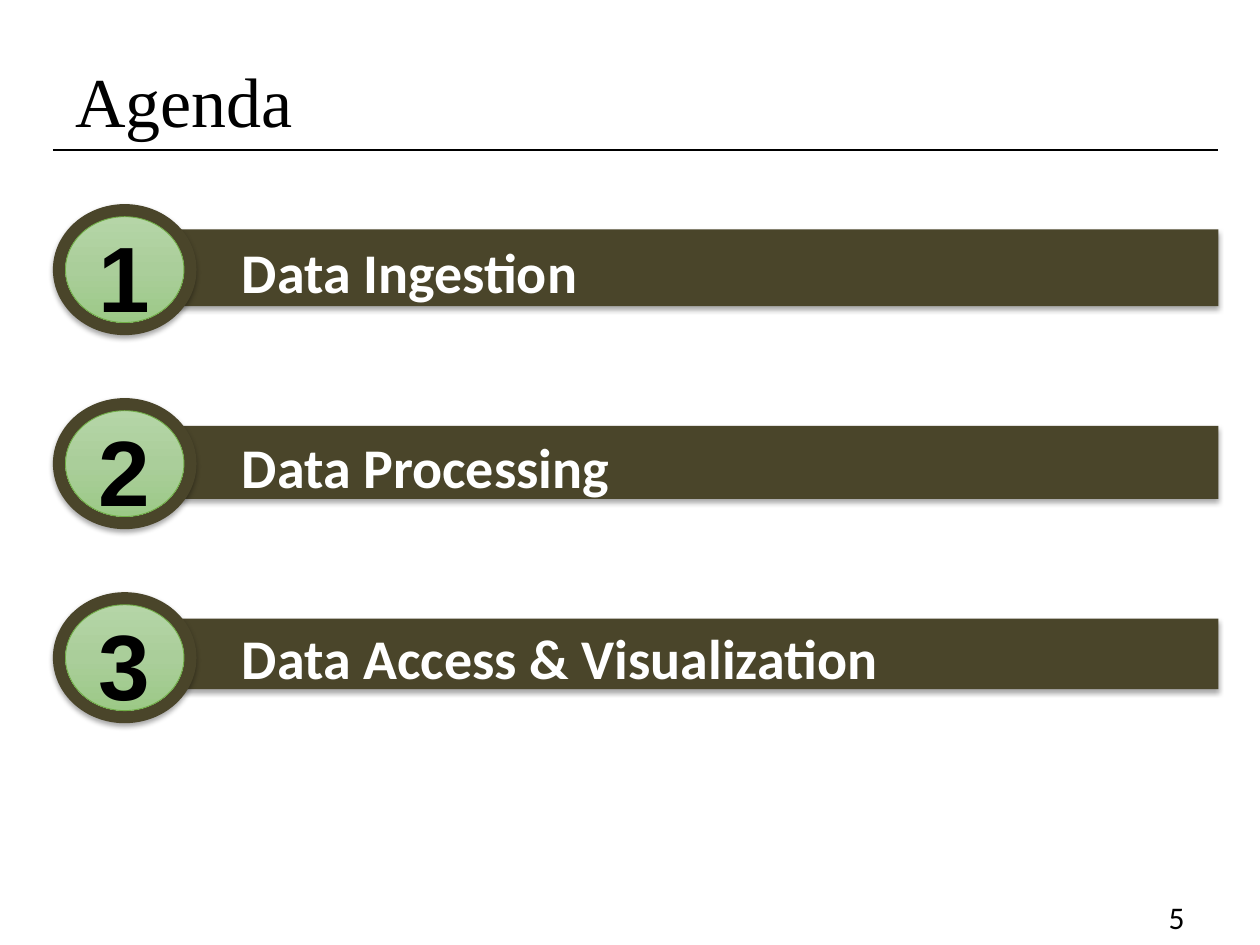
from copy import deepcopy
from dataclasses import dataclass

from lxml.etree import SubElement
from pptx import Presentation
from pptx.dml.color import RGBColor
from pptx.enum.shapes import MSO_CONNECTOR as Connector, MSO_SHAPE as Shape
from pptx.enum.text import MSO_ANCHOR as Anchor, PP_ALIGN as Align
from pptx.oxml.ns import qn
from pptx.util import Emu, Pt

EMU_PER_PX = 9144  # 100 px to the inch
COLORS = {
    "black": "000000",
    "white": "FFFFFF",
    "olive": "4A452A",
    "green_line": "70AD47",
}
GREEN_STOPS = {0: "B5D5A7", 0.5: "AACE9A", 1: "9CC987"}
LEFT, RIGHT = 42, 967
FIRST_RING_TOP, RING_PITCH = 162, 154
RING_WIDTH, RING_HEIGHT, RING_BORDER = 114, 104, 10
BAR_LEFT = 132


@dataclass(frozen=True)
class AgendaItem:
    label: str
    bar_top: int
    bar_height: int


ITEMS = [
    AgendaItem("Data Ingestion", 182, 61),
    AgendaItem("Data Processing", 338, 58),
    AgendaItem("Data Access & Visualization", 491, 56),
]


def px(length: int) -> Emu:
    return Emu(length * EMU_PER_PX)


def color(name: str) -> RGBColor:
    return RGBColor.from_string(COLORS[name])


def write(box, text: str, *, font: str, size: int, ink: str = "black",
          bold: bool = False, align=Align.LEFT, anchor=Anchor.TOP,
          inset_top: int = 5, indent: int = 0) -> None:
    frame = box.text_frame
    frame.word_wrap = True
    frame.vertical_anchor = anchor
    frame.margin_top = px(inset_top)
    para = frame.paragraphs[0]
    para.alignment = align
    if indent:
        para.level = 1
        para._p.get_or_add_pPr().set("marL", str(px(indent)))
    span = para.add_run()
    span.text = text
    span.font.name = font
    span.font.size = Pt(size)
    span.font.bold = bold
    span.font.color.rgb = color(ink)


def add_text(page, text: str, left: int, top: int, width: int, height: int,
             **style) -> None:
    box = page.shapes.add_textbox(px(left), px(top), px(width), px(height))
    write(box, text, **style)


def add_plain_shape(page, kind, left: int, top: int, width: int, height: int):
    """Add a shape with no shadow and no outline."""
    shape = page.shapes.add_shape(kind, px(left), px(top), px(width), px(height))
    shape.shadow.inherit = False
    shape.line.fill.background()
    return shape


def add_raised_shape(page, kind, left: int, top: int, width: int, height: int):
    """Add an olive shape with a soft shadow below it."""
    shape = add_plain_shape(page, kind, left, top, width, height)
    shape.fill.solid()
    shape.fill.fore_color.rgb = color("olive")
    effects = shape._element.spPr.find(qn("a:effectLst"))
    shadow = SubElement(effects, qn("a:outerShdw"), blurRad=str(Pt(3.1)),
                        dist=str(Pt(1.8)), dir="5400000", rotWithShape="0")
    tint = SubElement(shadow, qn("a:srgbClr"), val=COLORS["black"])
    SubElement(tint, qn("a:alpha"), val="35000")
    return shape


def fill_green(shape) -> None:
    shape.fill.gradient()
    shape.fill.gradient_angle = 270
    stop_list = shape._element.spPr.find(".//" + qn("a:gsLst"))
    stop_list.append(deepcopy(stop_list[-1]))
    for stop, (position, value) in zip(shape.fill.gradient_stops, GREEN_STOPS.items()):
        stop.position = position
        stop.color.rgb = RGBColor.from_string(value)


def add_item(page, number: int, item: AgendaItem) -> None:
    bar = add_raised_shape(page, Shape.RECTANGLE, BAR_LEFT, item.bar_top,
                           RIGHT - BAR_LEFT, item.bar_height)
    write(bar, item.label, font="Calibri", size=32, ink="white", bold=True,
          anchor=Anchor.MIDDLE, inset_top=10, indent=50)

    ring_top = FIRST_RING_TOP + (number - 1) * RING_PITCH
    add_raised_shape(page, Shape.OVAL, LEFT, ring_top, RING_WIDTH, RING_HEIGHT)
    disc = add_plain_shape(page, Shape.OVAL, LEFT + RING_BORDER, ring_top + RING_BORDER,
                           RING_WIDTH - 2 * RING_BORDER, RING_HEIGHT - 2 * RING_BORDER)
    fill_green(disc)
    disc.line.color.rgb = color("green_line")
    disc.line.width = Pt(0.5)
    write(disc, str(number), font="Arial", size=53, bold=True,
          align=Align.CENTER, anchor=Anchor.MIDDLE, inset_top=14)


def add_rule(page, top: int) -> None:
    rule = page.shapes.add_connector(Connector.STRAIGHT, px(LEFT), px(top),
                                     px(RIGHT), px(top))
    rule.line.color.rgb = color("black")
    rule.line.width = Pt(0.75)
    SubElement(rule._element.spPr, qn("a:effectLst"))


def main() -> None:
    deck = Presentation()
    deck.slide_width, deck.slide_height = px(1000), px(750)
    page = deck.slides.add_slide(deck.slide_layouts[6])
    add_text(page, "5", 717, 708, 233, 40, font="Calibri", size=18, align=Align.RIGHT)
    add_rule(page, 119)
    add_text(page, "Agenda", 50, 35, 900, 68, font="Times New Roman", size=40,
             inset_top=11)
    for number, item in enumerate(ITEMS, start=1):
        add_item(page, number, item)
    deck.save("out.pptx")


if __name__ == "__main__":
    main()
